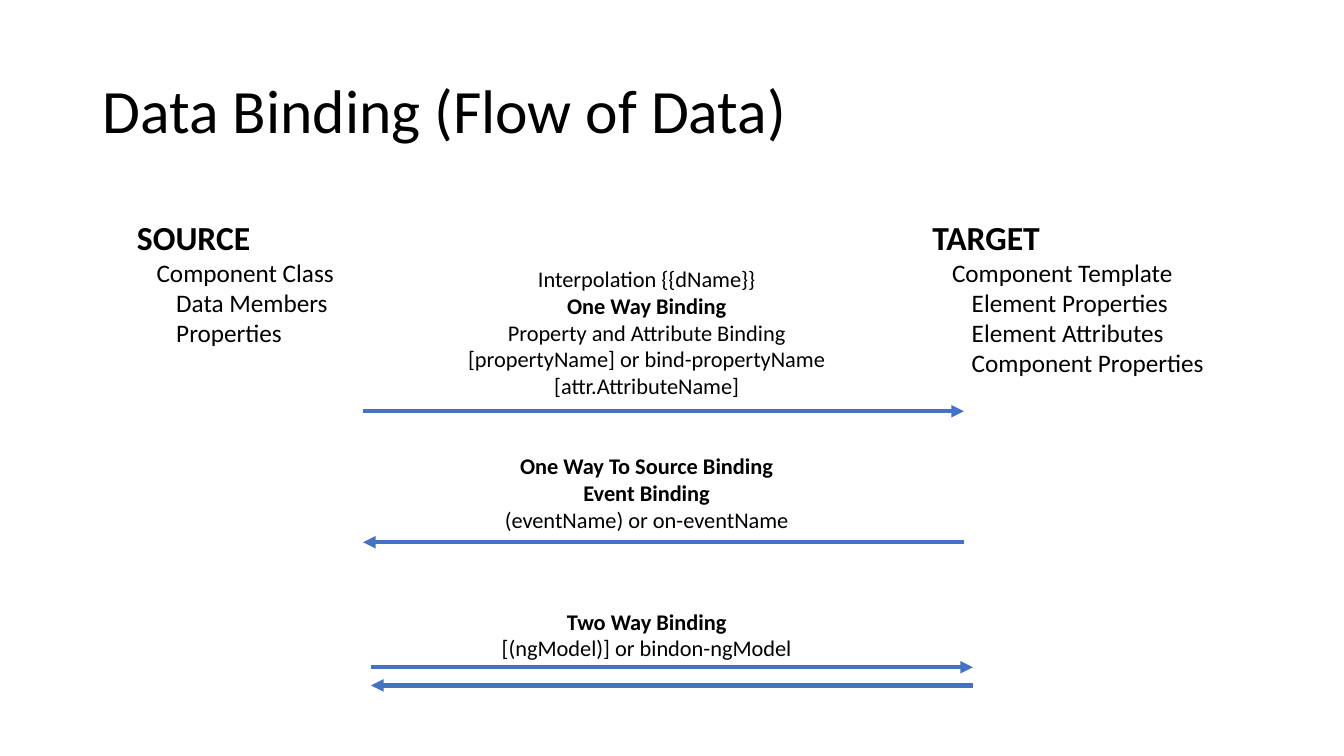
from dataclasses import dataclass

from lxml import etree
from pptx import Presentation
from pptx import util as u
from pptx.dml.color import RGBColor
from pptx.enum import shapes, text
from pptx.oxml.ns import qn


@dataclass(frozen=True)
class Theme:
    font: str = "Calibri"
    ink: RGBColor = RGBColor(0x00, 0x00, 0x00)
    arrow: RGBColor = RGBColor(0x44, 0x72, 0xC4)
    title: int = 44
    heading: int = 24
    item: int = 18
    caption: int = 16
    arrow_width: int = 3
    indent: float = 0.195


T = Theme()
W, H = u.Inches(13.33), u.Inches(7.5)
CAPTION_CENTRE = 48.12

COLUMNS = [
    (9.45, 16.35, "SOURCE",
     [(1, "Component Class"), (2, "Data Members"), (2, "Properties")]),
    (68.64, 21.91, "TARGET",
     [(1, "Component Template"), (2, "Element Properties"),
      (2, "Element Attributes"), (2, "Component Properties")]),
]
CAPTIONS = [
    (34.4, 28.43, [("Interpolation {{dName}}", False),
                   ("One Way Binding", True),
                   ("Property and Attribute Binding", False),
                   ("[propertyName] or bind-propertyName", False),
                   ("[attr.AttributeName]", False)]),
    (59.2, 22.95, [("One Way To Source Binding", True),
                   ("Event Binding", True),
                   ("(eventName) or on-eventName", False)]),
    (79.73, 23.33, [("Two Way Binding", True),
                    ("[(ngModel)] or bindon-ngModel", False)]),
]
ARROWS = [
    (27.01, 71.72, 54.4),
    (71.72, 27.01, 71.73),
    (27.61, 72.39, 88.27),
    (72.39, 27.61, 90.67),
]


def across(share):
    return round(W * share / 100)


def down(share):
    return round(H * share / 100)


def style(p, size, bold=False):
    p.font.name = T.font
    p.font.size = u.Pt(size)
    p.font.bold = bold
    p.font.color.rgb = T.ink


def add_title(s, words):
    sp = s.shapes.title
    sp.left, sp.top = across(6.9), down(5.33)
    sp.width, sp.height = across(86.25), down(19.33)
    tf = sp.text_frame
    tf.text = words
    tf.vertical_anchor = text.MSO_ANCHOR.MIDDLE
    p = tf.paragraphs[0]
    p.alignment = text.PP_ALIGN.LEFT
    p.line_spacing = 0.9
    style(p, T.title)


def add_lines(s, left, top, width, height, lines):
    sp = s.shapes.add_textbox(across(left), down(top), across(width), down(height))
    tf = sp.text_frame
    tf.word_wrap = False
    tf.auto_size = text.MSO_AUTO_SIZE.SHAPE_TO_FIT_TEXT
    tf.text = "\n".join(words for words, size, bold in lines)
    for p, (words, size, bold) in zip(tf.paragraphs, lines):
        style(p, size, bold)
    return tf.paragraphs


def add_column(s, left, width, heading, items):
    lines = [(heading, T.heading, True)]
    lines += [(words, T.item, False) for level, words in items]
    paragraphs = add_lines(s, left, 28, width, 6.6 + 4.07 * len(items), lines)
    for p, (level, words) in zip(paragraphs[1:], items):
        pPr = p._p.get_or_add_pPr()
        pPr.set("marL", str(u.Inches(level * T.indent)))
        pPr.set("indent", "0")


def add_caption(s, top, width, lines):
    sized = [(words, T.caption, bold) for words, bold in lines]
    left = CAPTION_CENTRE - width / 2
    for p in add_lines(s, left, top, width, 1.33 + 3.6 * len(lines), sized):
        p.alignment = text.PP_ALIGN.CENTER


def add_arrow(s, start, end, y):
    c = s.shapes.add_connector(shapes.MSO_CONNECTOR.STRAIGHT,
                               across(start), down(y), across(end), down(y))
    c.line.color.rgb = T.arrow
    c.line.width = u.Pt(T.arrow_width)
    spPr = c._element.spPr
    etree.SubElement(spPr.find(qn("a:ln")), qn("a:tailEnd"), type="triangle")
    etree.SubElement(spPr, qn("a:effectLst"))


def main():
    prs = Presentation()
    prs.slide_width, prs.slide_height = W, H
    s = prs.slides.add_slide(prs.slide_layouts.get_by_name("Title Only"))
    add_title(s, "Data Binding (Flow of Data)")
    for column in COLUMNS:
        add_column(s, *column)
    for arrow in ARROWS:
        add_arrow(s, *arrow)
    for caption in CAPTIONS:
        add_caption(s, *caption)
    prs.save("out.pptx")


if __name__ == "__main__":
    main()
